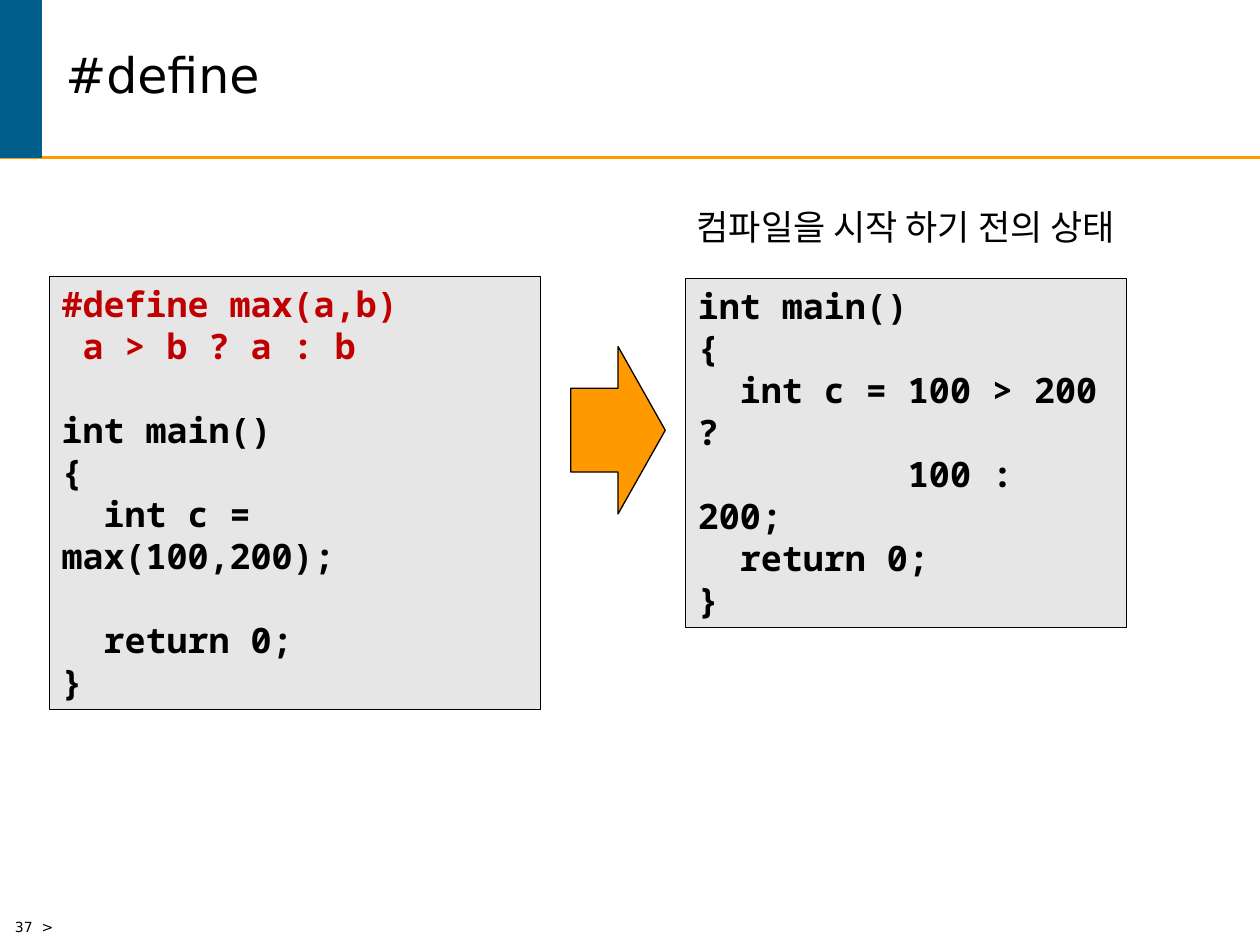
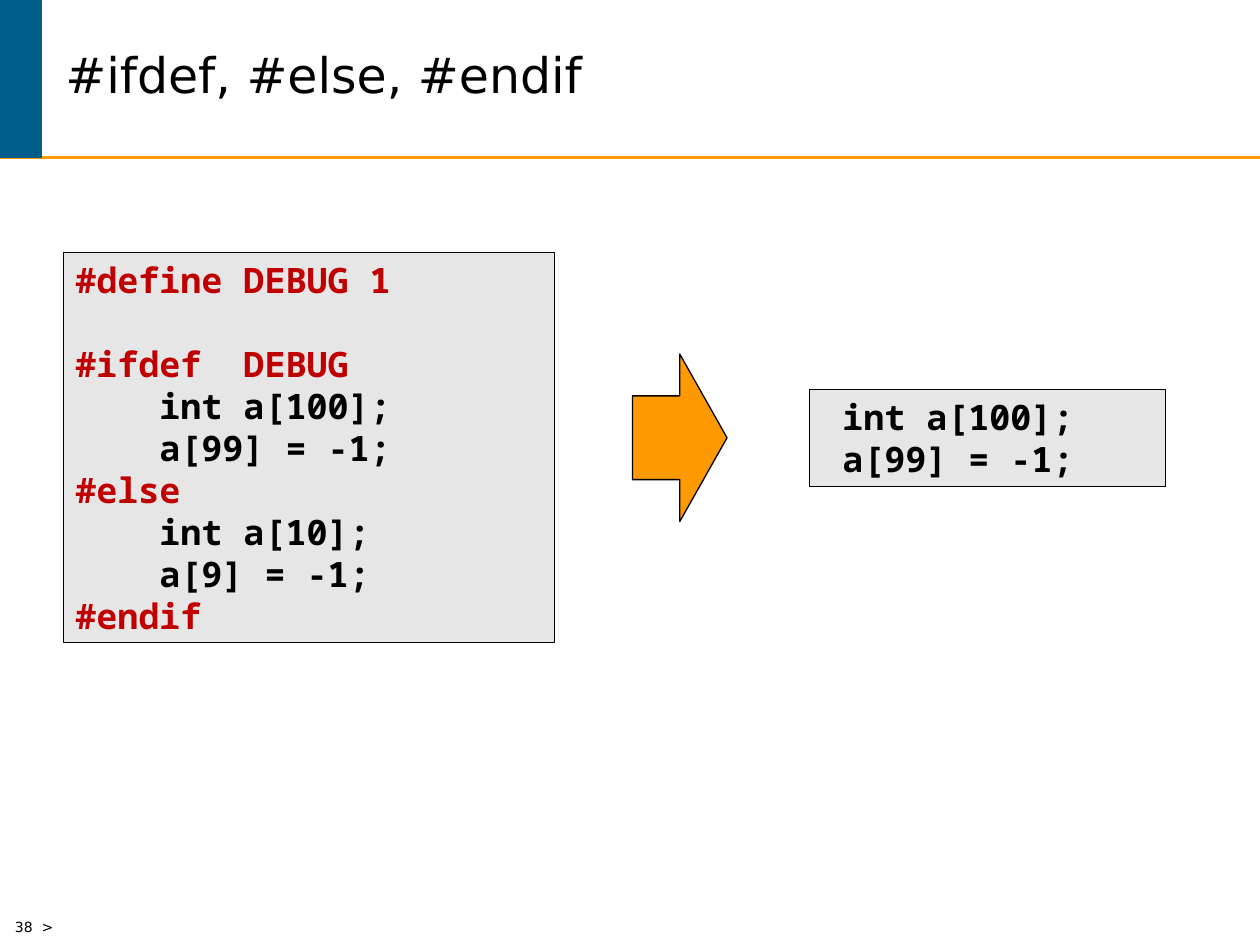
from dataclasses import dataclass
from lxml.etree import SubElement
from pptx import Presentation
from pptx.dml.color import RGBColor
from pptx.enum.shapes import MSO_CONNECTOR, MSO_SHAPE
from pptx.enum.text import MSO_ANCHOR, PP_ALIGN
from pptx.oxml.ns import qn
from pptx.util import Inches, Pt


@dataclass(frozen=True)
class Theme:
    ink: str = "000000"
    blue: str = "005E8A"
    gold: str = "FF9900"
    gray: str = "E6E6E6"
    red: str = "C00000"
    sans: str = "DejaVu Sans"
    mono: str = "Noto Sans Mono"
    head: int = 28
    body: int = 20
    foot: int = 8
    lead: int = 24


@dataclass(frozen=True)
class Box:
    x: float
    y: float
    w: float
    h: float

    def inner(self, x, y, w, h):
        return Box(self.x + x, self.y + y, w, h)

    def size(self):
        return [Inches(n * CELL) for n in (self.x, self.y, self.w, self.h)]


THEME = Theme()
CELL = 0.1
COLS, ROWS = 100, 75
BAND = Box(0, 0, COLS, 12.5)
BODY = Box(0, 12.5, COLS, 59.9)
FOOT = Box(0, 72.4, COLS, 2.6)
MACRO = ("#", " a > b")


def tint(hue):
    return RGBColor.from_string(hue)


def style(line, size, hue=THEME.ink, face=THEME.sans, bold=False):
    for run in line.runs:
        font = run.font
        font.size, font.name, font.bold = Pt(size), face, bold
        font.color.rgb = tint(hue)


def shape(slide, kind, box, fill, edge, width):
    item = slide.shapes.add_shape(kind, *box.size())
    item.shadow.inherit = False
    item.fill.solid()
    item.fill.fore_color.rgb = tint(fill)
    item.line.color.rgb = tint(edge)
    item.line.width = Pt(width)
    return item


def label(slide, box, text, size):
    frame = slide.shapes.add_textbox(*box.size()).text_frame
    frame.word_wrap = True
    frame.text = text
    style(frame.paragraphs[0], size)
    return frame


def rule(slide, box):
    left, top, width, height = box.size()
    line = slide.shapes.add_connector(
        MSO_CONNECTOR.STRAIGHT, left, top + height, left + width, top + height)
    line.line.color.rgb = tint(THEME.gold)
    line.line.width = Pt(1.5)
    SubElement(line._element.spPr, qn("a:effectLst"))


def header(slide, box, text):
    rule(slide, box)
    shape(slide, MSO_SHAPE.RECTANGLE, box.inner(0, 0, 3.3, box.h),
          THEME.blue, THEME.blue, 1)
    frame = label(slide, box.inner(4.2, 0, 93.3, box.h), text, THEME.head)
    frame.vertical_anchor = MSO_ANCHOR.MIDDLE
    frame.paragraphs[0].line_spacing = 0.85


def footer(slide, box, num):
    label(slide, box.inner(0.2, 0, 14, box.h), f"{num}  >", THEME.foot)


def code(slide, box, text):
    panel = shape(slide, MSO_SHAPE.RECTANGLE, box, THEME.gray, THEME.ink, 0.25)
    frame = panel.text_frame
    frame.word_wrap = True
    frame.vertical_anchor = MSO_ANCHOR.TOP
    line, gap = frame.paragraphs[0], False
    for spot, row in enumerate(text.split("\n")):
        if not row:
            gap = True
            continue
        if spot:
            line = frame.add_paragraph()
        line.text = row
        line.alignment = PP_ALIGN.LEFT
        if gap:
            line.space_before = Pt(THEME.lead)
        hue = THEME.red if row.startswith(MACRO) else THEME.ink
        style(line, THEME.body, hue, THEME.mono, True)
        gap = False


def arrow(slide, box):
    shape(slide, MSO_SHAPE.RIGHT_ARROW, box, THEME.gold, THEME.ink, 0.75)


def change(slide, box, left, mid, right):
    code(slide, box.inner(*left[0]), left[1])
    arrow(slide, box.inner(*mid, 7.5, 13.3))
    code(slide, box.inner(*right[0]), right[1])


def note(slide, box, text):
    label(slide, box, text, THEME.body).paragraphs[0].alignment = PP_ALIGN.CENTER


def page(deck, num, title, *steps):
    slide = deck.slides.add_slide(deck.slide_layouts[6])
    header(slide, BAND, title)
    footer(slide, FOOT, num)
    change(slide, BODY, *steps)
    return slide


MAX = """#define max(a,b)
 a > b ? a : b

int main()
{
  int c = max(100,200);

  return 0;
}"""

MAX_OUT = """int main()
{
  int c = 100 > 200 ?
          100 : 200;
  return 0;
}"""

DEBUG = """#define DEBUG 1

#ifdef  DEBUG
    int a[100];
    a[99] = -1;
#else
    int a[10];
    a[9] = -1;
#endif"""

DEBUG_OUT = """ int a[100];
 a[99] = -1;"""


def main():
    deck = Presentation()
    deck.slide_width = Inches(COLS * CELL)
    deck.slide_height = Inches(ROWS * CELL)
    first = page(deck, 37, "#define",
                 ((3.9, 9.4, 39, 34.4), MAX), (45.3, 15),
                 ((54.4, 9.6, 35, 27.7), MAX_OUT))
    note(first, BODY.inner(51.7, 3.3, 40.4, 4.4), "컴파일을 시작 하기 전의 상태")
    page(deck, 38, "#ifdef, #else, #endif",
         ((5, 7.5, 39, 31), DEBUG), (50.2, 15.6),
         ((64.2, 18.4, 28.3, 7.7), DEBUG_OUT))
    deck.save("out.pptx")


if __name__ == "__main__":
    main()
